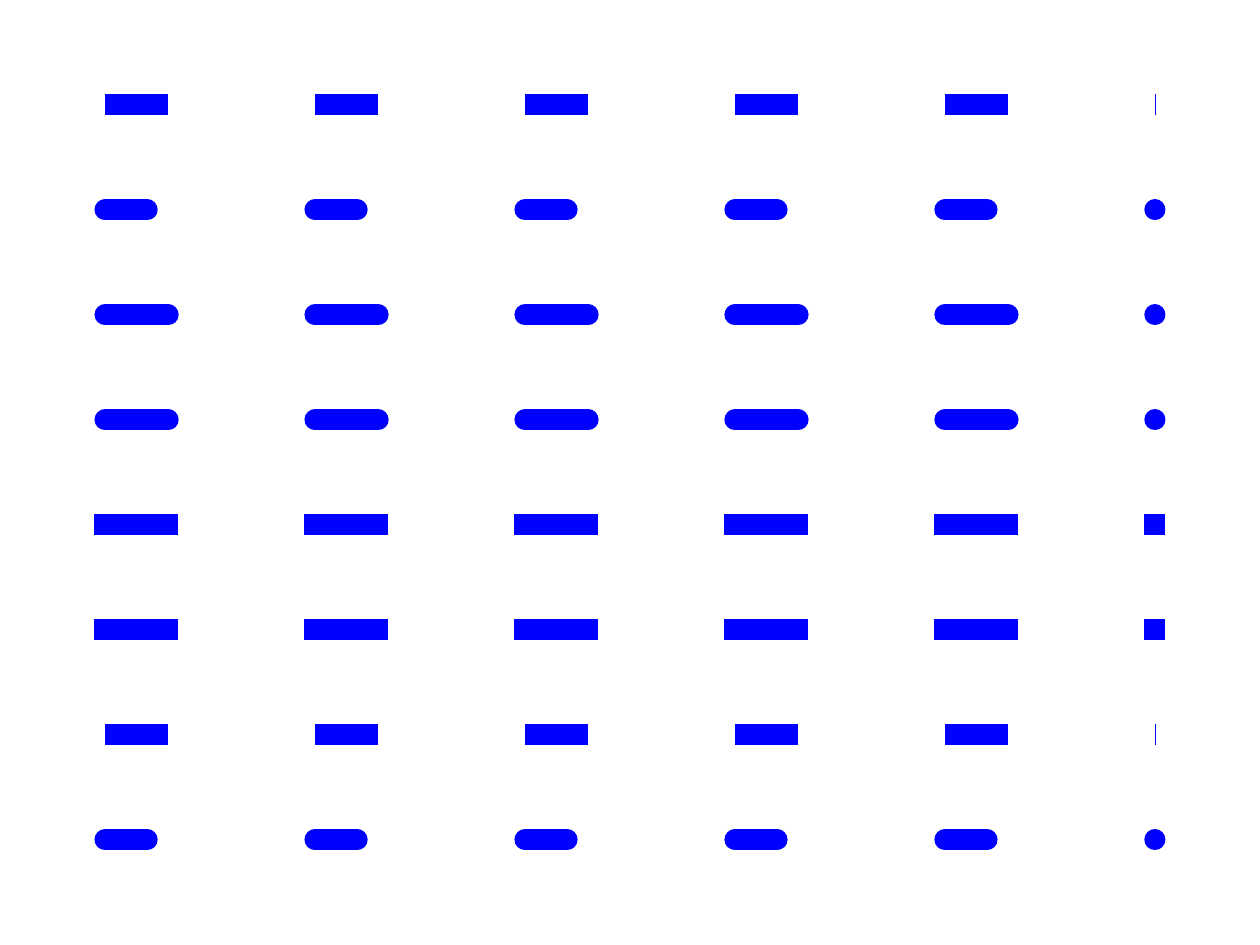
from pptx import Presentation
from pptx.dml.color import RGBColor
from pptx.enum.shapes import MSO_CONNECTOR
from pptx.oxml.ns import qn
from pptx.util import Inches, Pt
from lxml.etree import SubElement

COLORS = {"dash": "0000FF"}
SLIDE_WIDTH, SLIDE_HEIGHT = 9.45, 7.09
PITCH = SLIDE_WIDTH / 12  # row spacing and side margin
LINE_WIDTH = 11.34

# Line cap, dash length and gap, in percent of the line width
FLAT = ("flat", 300, 700)
ROUND_SHORT = ("rnd", 300, 700)
ROUND_LONG = ("rnd", 400, 600)
SQUARE = ("sq", 300, 700)
ROWS = [FLAT, ROUND_SHORT, ROUND_LONG, ROUND_LONG,
        SQUARE, SQUARE, FLAT, ROUND_SHORT]


def add_dashed_line(slide, y, cap, dash, gap):
    """Draw a horizontal line with its own dash pattern and cap."""
    connector = slide.shapes.add_connector(
        MSO_CONNECTOR.STRAIGHT,
        Inches(PITCH), Inches(y), Inches(SLIDE_WIDTH - PITCH), Inches(y))
    connector.line.color.rgb = RGBColor.from_string(COLORS["dash"])
    connector.line.width = Pt(LINE_WIDTH)
    properties = connector._element.spPr
    line = properties.find(qn("a:ln"))
    line.set("cap", cap)
    pattern = SubElement(line, qn("a:custDash"))
    SubElement(pattern, qn("a:ds"), d=str(dash * 1000), sp=str(gap * 1000))
    SubElement(properties, qn("a:effectLst"))


presentation = Presentation()
presentation.slide_width = Inches(SLIDE_WIDTH)
presentation.slide_height = Inches(SLIDE_HEIGHT)
slide = presentation.slides.add_slide(presentation.slide_layouts[6])

for row, (cap, dash, gap) in enumerate(ROWS, start=1):
    add_dashed_line(slide, row * PITCH, cap, dash, gap)

presentation.save("out.pptx")
